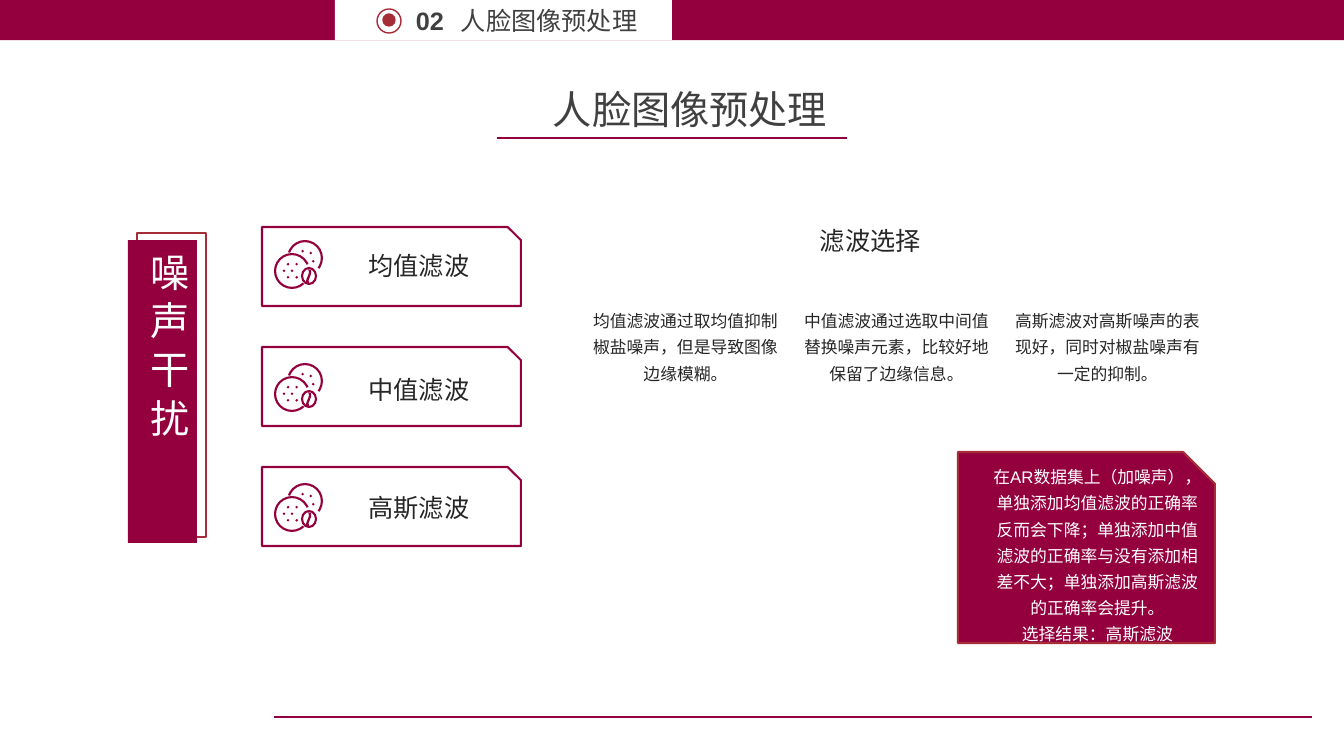
"""Build the slide on face image preprocessing and filter choice."""
from dataclasses import dataclass
from typing import NamedTuple, Optional

from lxml import etree
from pptx import Presentation
from pptx.dml.color import RGBColor
from pptx.enum import shapes, text
from pptx.oxml import ns
from pptx import util as u

EMU_PER_PX = 914400 / 100.8
ICON_UNITS_PER_PX = 10
ARC_UNITS_PER_DEGREE = 0.6


@dataclass(frozen=True)
class Theme:
    font: str = "Arial"
    wine: str = "94003E"
    red: str = "A62C38"
    white: str = "FFFFFF"
    heading: str = "404040"
    ink: str = "262626"
    title_size: int = 28
    label_size: int = 18
    body_size: int = 12
    thin: float = 1
    thick: float = 1.5


THEME = Theme()


class Box(NamedTuple):
    left: int
    top: int
    width: int
    height: int


@dataclass(frozen=True)
class Label:
    box: Box
    lines: tuple[str, ...]
    size: int
    color: str
    wrap: bool = False
    centered: bool = False
    bold: bool = False
    spacing: Optional[float] = None
    vertical: bool = False


@dataclass(frozen=True)
class Panel:
    box: Box
    kind: shapes.MSO_SHAPE
    fill: Optional[str] = None
    line: Optional[str] = None
    width: float = THEME.thick
    adjustments: tuple[float, ...] = ()
    rotation: int = 0


class Filter(NamedTuple):
    name: str
    label_top: int
    icon_top: int
    note: str


class Rule(NamedTuple):
    left: int
    right: int
    top: int


class Disc(NamedTuple):
    left: int
    top: int
    start: int
    end: int


FILTERS = (
    Filter("均值滤波", 245, 238, "均值滤波通过取均值抑制椒盐噪声，但是导致图像边缘模糊。"),
    Filter("中值滤波", 369, 361, "中值滤波通过选取中间值替换噪声元素，比较好地保留了边缘信息。"),
    Filter("高斯滤波", 487, 481, "高斯滤波对高斯噪声的表现好，同时对椒盐噪声有一定的抑制。"),
)
RESULT = (
    "在AR数据集上（加噪声），单独添加均值滤波的正确率反而会下降；单独添加中值滤波的正确率"
    "与没有添加相差不大；单独添加高斯滤波的正确率会提升。",
    "选择结果：高斯滤波",
)
RULES = (Rule(274, 1312, 717), Rule(497, 847, 138))
SNIP = (0, 0.167)
KIND = shapes.MSO_SHAPE
PANELS = (
    Panel(Box(0, 0, 1344, 40), KIND.ROUND_2_SAME_RECTANGLE, THEME.wine, adjustments=(0, 0), rotation=180),
    Panel(Box(335, 0, 337, 40), KIND.RECTANGLE, THEME.white),
    Panel(Box(377, 9, 24, 24), KIND.OVAL, line=THEME.red, width=THEME.thin),
    Panel(Box(383, 14, 12, 12), KIND.OVAL, THEME.red, THEME.red, THEME.thin),
    Panel(Box(137, 233, 69, 304), KIND.RECTANGLE, line=THEME.red),
    Panel(Box(128, 240, 69, 303), KIND.RECTANGLE, THEME.wine),
    Panel(Box(958, 452, 257, 191), KIND.SNIP_ROUND_RECTANGLE, THEME.wine, THEME.red, adjustments=SNIP),
)
LABELS = (
    Label(Box(451, 0, 214, 40), ("人脸图像预处理",), THEME.label_size, THEME.heading, wrap=True),
    Label(Box(406, 0, 48, 40), ("02",), THEME.label_size, THEME.heading, bold=True),
    Label(Box(543, 80, 297, 57), ("人脸图像预处理",), THEME.title_size, THEME.heading),
    Label(Box(810, 220, 122, 40), ("滤波选择",), THEME.label_size, THEME.ink),
    Label(Box(129, 243, 68, 287), ("噪 声 干 扰",), THEME.title_size, THEME.white,
          wrap=True, centered=True, vertical=True),
    Label(Box(979, 456, 237, 194), RESULT, THEME.body_size, THEME.white,
          wrap=True, centered=True, spacing=1.3),
)

DISCS = (Disc(0, 15, 47, 337), Disc(13, 2, 199, 37))
DISC_SIZE = 36
DISC_THICKNESS = 0.06
BEAN = Box(28, 30, 14, 16)
BEAN_SEAM = ((343, 312), (373, 323), (373, 353), (358, 393), (346, 423), (353, 454),
             (323, 444), (323, 423), (328, 403), (343, 373), (350, 343))
DOT_RADIUS = 14
DOTS = ((393, 232), (368, 151), (287, 131), (101, 328), (181, 328),
        (141, 262), (227, 262), (141, 393), (227, 393))


def px(length: float) -> u.Emu:
    """Turn px into EMU."""
    return u.Emu(round(length * EMU_PER_PX))


def add_icon(page, left: int, top: int) -> None:
    """Draw two dotted discs with a bean."""
    for disc in DISCS:
        angles = (disc.start * ARC_UNITS_PER_DEGREE, disc.end * ARC_UNITS_PER_DEGREE)
        add_panel(page, Panel(Box(left + disc.left, top + disc.top, DISC_SIZE, DISC_SIZE),
                              KIND.BLOCK_ARC, THEME.wine, adjustments=(*angles, DISC_THICKNESS)))
    add_panel(page, Panel(Box(left + BEAN.left, top + BEAN.top, BEAN.width, BEAN.height),
                          KIND.OVAL, line=THEME.wine))
    builder = page.shapes.build_freeform(*BEAN_SEAM[0], scale=EMU_PER_PX / ICON_UNITS_PER_PX)
    builder.add_line_segments(BEAN_SEAM[1:])
    for x, y in DOTS:
        builder.move_to(x - DOT_RADIUS, y)
        builder.add_line_segments([(x, y - DOT_RADIUS), (x + DOT_RADIUS, y), (x, y + DOT_RADIUS)])
    marks = builder.convert_to_shape(px(left), px(top))
    marks.shadow.inherit = False
    marks.fill.solid()
    marks.fill.fore_color.rgb = RGBColor.from_string(THEME.wine)
    marks.line.fill.background()


def add_panel(page, panel: Panel) -> None:
    """Draw a preset shape."""
    shape = page.shapes.add_shape(panel.kind, *map(px, panel.box))
    shape.shadow.inherit = False
    shape.rotation = panel.rotation
    for index, value in enumerate(panel.adjustments):
        shape.adjustments[index] = value
    if panel.fill:
        shape.fill.solid()
        shape.fill.fore_color.rgb = RGBColor.from_string(panel.fill)
    else:
        shape.fill.background()
    if panel.line:
        shape.line.color.rgb = RGBColor.from_string(panel.line)
        shape.line.width = u.Pt(panel.width)
    else:
        shape.line.fill.background()


def add_label(page, label: Label) -> None:
    """Draw a text box."""
    frame = page.shapes.add_textbox(*map(px, label.box)).text_frame
    frame.word_wrap = label.wrap
    frame.auto_size = text.MSO_AUTO_SIZE.SHAPE_TO_FIT_TEXT
    if label.vertical:
        frame._txBody.bodyPr.set("vert", "eaVert")
    frame.text = "\n".join(label.lines)
    for para in frame.paragraphs:
        para.alignment = text.PP_ALIGN.CENTER if label.centered else text.PP_ALIGN.LEFT
        if label.spacing:
            para.line_spacing = label.spacing
        para.font.name = THEME.font
        para.font.size = u.Pt(label.size)
        para.font.bold = label.bold
        para.font.color.rgb = RGBColor.from_string(label.color)


def add_rule(page, rule: Rule) -> None:
    """Draw a horizontal line."""
    line = page.shapes.add_connector(
        shapes.MSO_CONNECTOR.STRAIGHT, px(rule.left), px(rule.top), px(rule.right), px(rule.top))
    line.line.color.rgb = RGBColor.from_string(THEME.wine)
    line.line.width = u.Pt(THEME.thin)
    etree.SubElement(line._element.spPr, ns.qn("a:effectLst"))


def add_filter(page, index: int, item: Filter) -> None:
    """Draw a filter card with its icon, name and note."""
    add_panel(page, Panel(Box(262, 227 + 120 * index, 259, 79), KIND.SNIP_ROUND_RECTANGLE,
                          line=THEME.wine, adjustments=SNIP))
    add_icon(page, 274, item.icon_top)
    add_label(page, Label(Box(358, item.label_top, 122, 40), (item.name,),
                          THEME.label_size, THEME.ink, centered=True))
    add_label(page, Label(Box(578 + 211 * index, 300, 215, 87), (item.note,), THEME.body_size,
                          THEME.ink, wrap=True, centered=True, spacing=1.3))


def main() -> None:
    """Build and save the deck."""
    deck = Presentation()
    deck.slide_width, deck.slide_height = px(1344), px(756)
    page = deck.slides.add_slide(deck.slide_layouts[6])
    for rule in RULES:
        add_rule(page, rule)
    for panel in PANELS:
        add_panel(page, panel)
    for index, item in enumerate(FILTERS):
        add_filter(page, index, item)
    for label in LABELS:
        add_label(page, label)
    deck.save("out.pptx")


if __name__ == "__main__":
    main()
